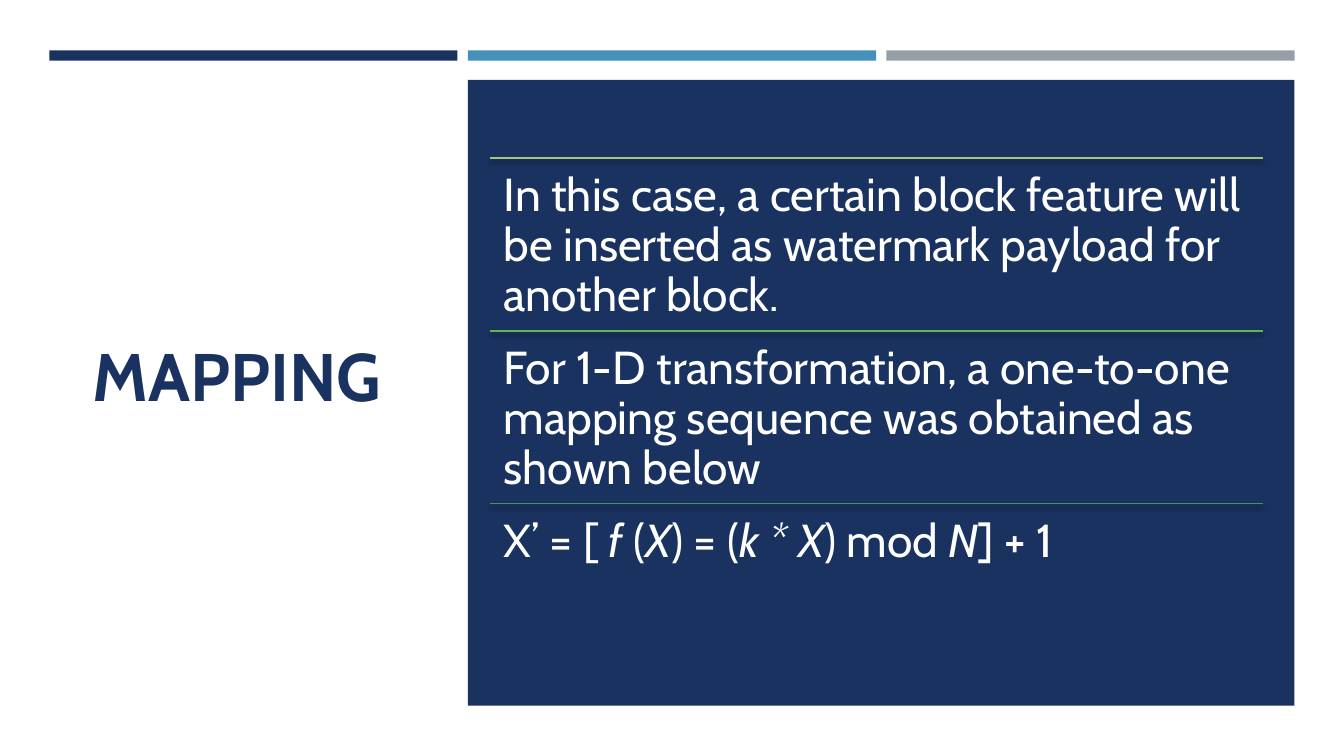
from lxml import etree
from pptx import Presentation
from pptx.dml.color import RGBColor
from pptx.enum.shapes import MSO_CONNECTOR, MSO_SHAPE
from pptx.enum.text import MSO_ANCHOR
from pptx.oxml.ns import qn
from pptx.util import Pt

RECTANGLE = MSO_SHAPE.RECTANGLE
STRAIGHT = MSO_CONNECTOR.STRAIGHT
TOP, MIDDLE = MSO_ANCHOR.TOP, MSO_ANCHOR.MIDDLE

COLOURS = {
    "white": "FFFFFF",
    "navy": "1A3260",
    "blue": "4590B8",
    "grey": "969FA7",
    "lime": "A2C777",
    "green": "5EB654",
    "teal": "42955F",
    "shadow": "000000",
}


def rgb(name):
    return RGBColor.from_string(COLOURS[name])


class SlideBuilder:
    """Holds the font and the slide; all lengths are in points."""

    def __init__(self, slide, font="Cabin"):
        self.slide = slide
        self.font = font

    def background(self, colour):
        fill = self.slide.background.fill
        fill.solid()
        fill.fore_color.rgb = rgb(colour)

    def block(self, left, top, width, height, colour):
        shape = self.slide.shapes.add_shape(
            RECTANGLE, Pt(left), Pt(top), Pt(width), Pt(height))
        shape.shadow.inherit = False
        shape.fill.solid()
        shape.fill.fore_color.rgb = rgb(colour)
        shape.line.fill.background()

    def rule(self, left, top, width, colour):
        """Draw a thin horizontal line with a soft shadow below it."""
        line = self.slide.shapes.add_connector(
            STRAIGHT, Pt(left), Pt(top), Pt(left + width), Pt(top))
        line.line.color.rgb = rgb(colour)
        line.line.width = Pt(1)
        effects = etree.SubElement(line._element.spPr, qn("a:effectLst"))
        shadow = etree.SubElement(
            effects, qn("a:outerShdw"), blurRad=str(Pt(3)), dist=str(Pt(2)),
            dir="5400000", rotWithShape="0")
        tint = etree.SubElement(shadow, qn("a:srgbClr"), val=COLOURS["shadow"])
        etree.SubElement(tint, qn("a:alpha"), val="55000")

    def text(self, left, top, width, height, runs, size, colour,
             bold=False, anchor=TOP, inset=7.2, spacing=1.0):
        """Add one paragraph made of (wording, italic) runs."""
        box = self.slide.shapes.add_textbox(
            Pt(left), Pt(top), Pt(width), Pt(height))
        frame = box.text_frame
        frame.word_wrap = True
        frame.vertical_anchor = anchor
        frame.margin_left = frame.margin_right = Pt(inset)
        frame.margin_top = frame.margin_bottom = Pt(inset)
        paragraph = frame.paragraphs[0]
        paragraph.line_spacing = spacing
        for wording, italic in runs:
            run = paragraph.add_run()
            run.text = wording
            run.font.name = self.font
            run.font.size = Pt(size)
            run.font.bold = bold
            run.font.italic = italic
            run.font.color.rgb = rgb(colour)


STATEMENTS = [
    ("lime", [("In this case, a certain block feature will be inserted as "
               "watermark payload for another block.", False)]),
    ("green", [("For 1-D transformation, a one-to-one mapping sequence was "
                "obtained as shown below", False)]),
    ("teal", [("X’ = [ ", False), ("f ", True), ("(", False), ("X", True),
              (") = (", False), ("k * X", True), (") mod ", False),
              ("N", True), ("] + 1", False)]),
]


def main():
    presentation = Presentation()
    presentation.slide_width, presentation.slide_height = Pt(960), Pt(540)
    slide = presentation.slides.add_slide(presentation.slide_layouts[6])
    builder = SlideBuilder(slide)
    builder.background("white")

    builder.text(59, 82, 258, 371, [("MAPPING", False)], 48, "navy",
                 bold=True, anchor=MIDDLE)

    for column, colour in enumerate(("navy", "blue", "grey")):
        builder.block(35.2 + 299 * column, 36, 291.6, 7.4, colour)
    builder.block(334.2, 57, 590.4, 447, "navy")

    left, width, step = 350, 552, 123.4
    for row, (colour, runs) in enumerate(STATEMENTS):
        top = 113 + step * row
        builder.rule(left, top, width, colour)
        builder.text(left, top, width, step, runs, 33, "white",
                     inset=9.9, spacing=0.9)

    presentation.save("out.pptx")


if __name__ == "__main__":
    main()
